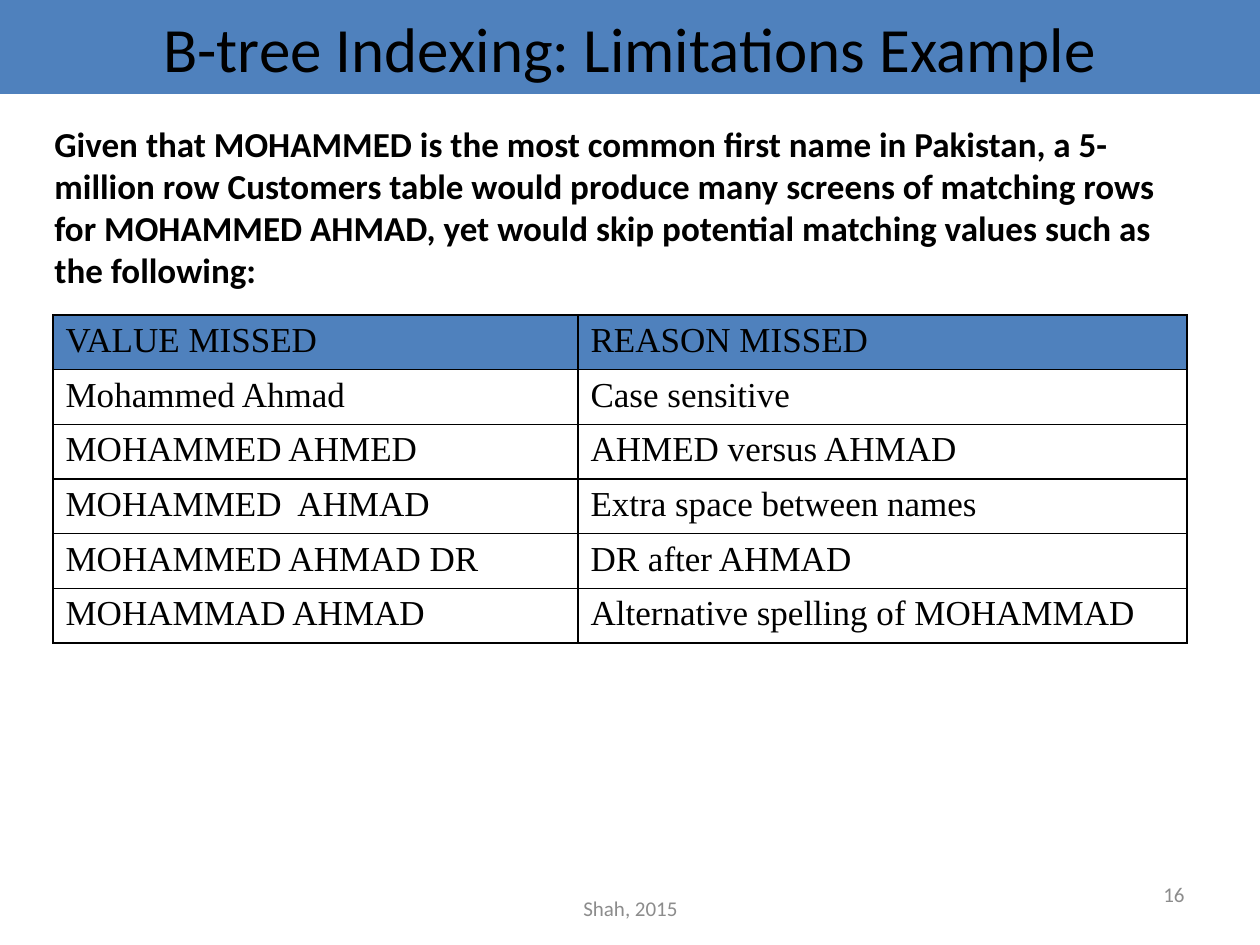
from lxml import etree
from pptx import Presentation
from pptx.dml.color import RGBColor
from pptx.enum.shapes import MSO_SHAPE
from pptx.enum.text import MSO_ANCHOR, PP_ALIGN
from pptx.oxml.ns import qn
from pptx.util import Emu, Pt

LEFT, CENTER, RIGHT = PP_ALIGN.LEFT, PP_ALIGN.CENTER, PP_ALIGN.RIGHT
TOP, MIDDLE = MSO_ANCHOR.TOP, MSO_ANCHOR.MIDDLE
PX = 914400 / 126
BLUE, BLACK, GREY = "4F81BD", "000000", "8C8C8C"


def px(*lengths):
    """Turn pixel lengths into EMU."""
    return [Emu(round(n * PX)) for n in lengths]


def write(tf, text, size=20, font="Calibri", color=BLACK, bold=False,
          align=LEFT, anchor=TOP):
    tf.word_wrap = True
    tf.vertical_anchor = anchor
    p = tf.paragraphs[0]
    p.alignment = align
    r = p.add_run()
    r.text = text
    r.font.size = Pt(size)
    r.font.name = font
    r.font.bold = bold
    r.font.color.rgb = RGBColor.from_string(color)


prs = Presentation()
prs.slide_width, prs.slide_height = px(1260, 945)
s = prs.slides.add_slide(prs.slide_layouts[6])

# Footer and slide number
for box, text, align in [((431, 892, 399, 33), "Shah, 2015", CENTER),
                         ((903, 861, 294, 66), "16", RIGHT)]:
    sp = s.shapes.add_textbox(*px(*box))
    write(sp.text_frame, text, size=12, color=GREY, align=align, anchor=MIDDLE)

# Title bar
sp = s.shapes.add_shape(MSO_SHAPE.RECTANGLE, *px(0, 0, 1260, 94))
sp.shadow.inherit = False
sp.fill.solid()
sp.fill.fore_color.rgb = RGBColor.from_string(BLUE)
sp.line.fill.background()
write(sp.text_frame, "B-tree Indexing: Limitations Example", size=36,
      align=CENTER, anchor=MIDDLE)

# Introduction
sp = s.shapes.add_textbox(*px(42, 116, 1155, 180))
write(sp.text_frame,
      "Given that MOHAMMED is the most common first name in Pakistan, a "
      "5-million row Customers table would produce many screens of matching "
      "rows for MOHAMMED AHMAD, yet would skip potential matching values such "
      "as the following:", bold=True)

# Table of missed values
rows = [
    ("VALUE MISSED", "REASON MISSED"),
    ("Mohammed Ahmad", "Case sensitive"),
    ("MOHAMMED AHMED", "AHMED versus AHMAD"),
    ("MOHAMMED  AHMAD", "Extra space between names"),
    ("MOHAMMED AHMAD DR", "DR after AHMAD"),
    ("MOHAMMAD AHMAD", "Alternative spelling of MOHAMMAD"),
]
table = s.shapes.add_table(len(rows), 2, *px(53, 315, 1134, 328)).table
table.first_row = table.horz_banding = False
for column, width in zip(table.columns, px(525, 609)):
    column.width = width

for i, row in enumerate(rows):
    for j, text in enumerate(row):
        cell = table.cell(i, j)
        write(cell.text_frame, text, font="Times New Roman")
        tcPr = cell._tc.get_or_add_tcPr()
        for side in ("lnL", "lnR", "lnT", "lnB"):
            ln = etree.SubElement(tcPr, qn(f"a:{side}"), w=str(Pt(1)))
            fill = etree.SubElement(ln, qn("a:solidFill"))
            etree.SubElement(fill, qn("a:srgbClr"), val=BLACK)
        if i == 0:
            cell.fill.solid()
            cell.fill.fore_color.rgb = RGBColor.from_string(BLUE)
        else:
            cell.fill.background()

prs.save("out.pptx")
